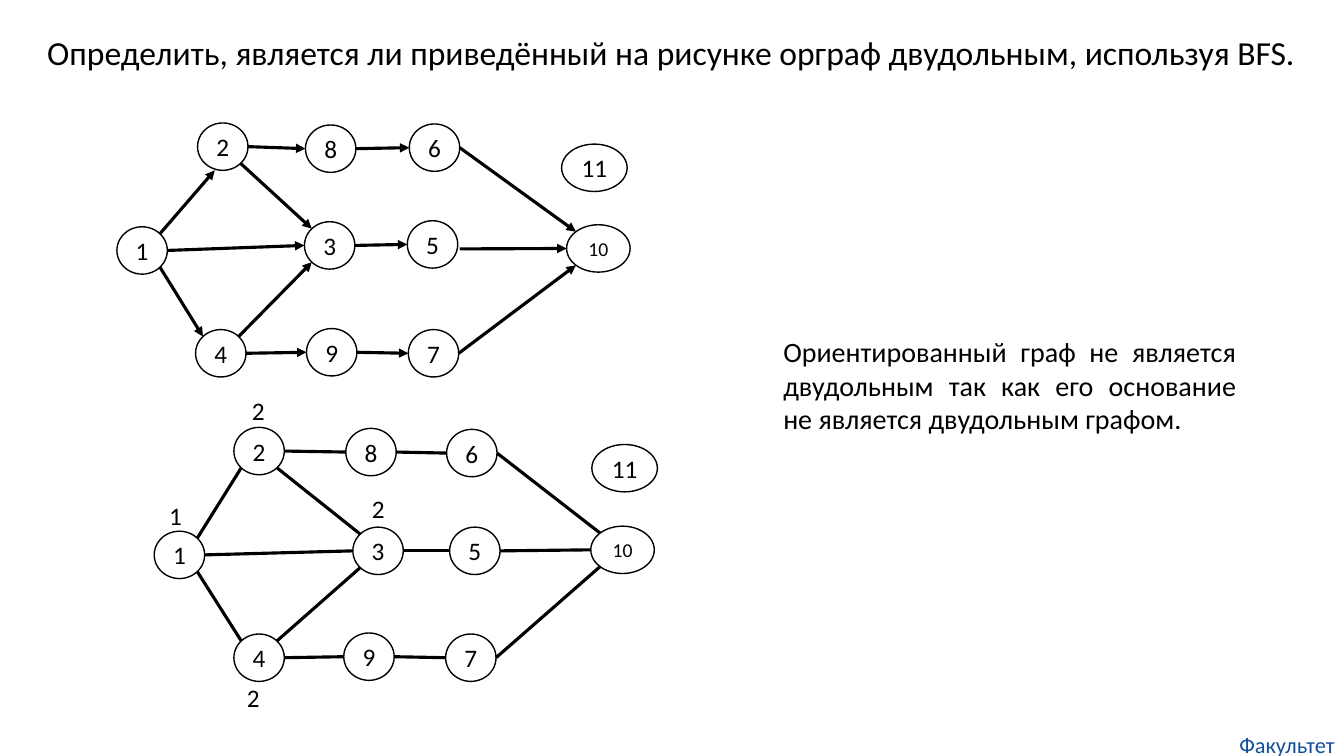
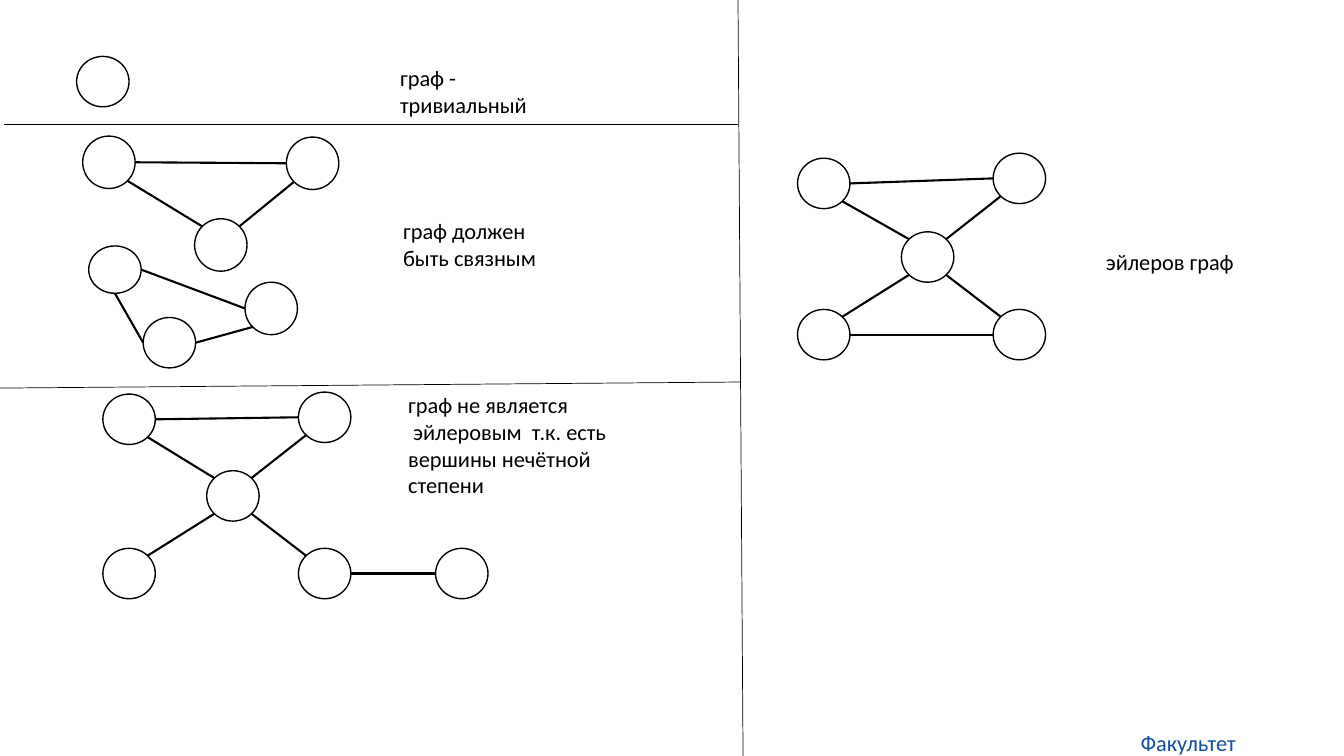
from math import sqrt

from pptx import Presentation
from pptx.dml.color import RGBColor
from pptx.enum.shapes import MSO_CONNECTOR, MSO_SHAPE
from pptx.enum.text import MSO_ANCHOR, MSO_AUTO_SIZE, PP_ALIGN
from pptx.oxml.ns import qn
from pptx.util import Pt
from lxml.etree import SubElement

PX = 9144
FONT = "Calibri"
FOOTER_TEXT = "Факультет"
BLACK = RGBColor(0x00, 0x00, 0x00)
WHITE = RGBColor(0xFF, 0xFF, 0xFF)
FOOTER_BLUE = RGBColor(0x14, 0x4E, 0x9D)

DIAGONAL = 1 / sqrt(2)
SITES = {
    "top-left": (-DIAGONAL, -DIAGONAL),
    "top-right": (DIAGONAL, -DIAGONAL),
    "bottom-left": (-DIAGONAL, DIAGONAL),
    "bottom-right": (DIAGONAL, DIAGONAL),
    "left": (-1, 0),
    "right": (1, 0),
    "bottom": (0, 1),
    "below": (-0.32, 1),
    "beyond": (1.08, 0.19),
}


def add_text(frame, paragraphs, size, color=BLACK, align=PP_ALIGN.LEFT, wrap=True):
    frame.word_wrap = wrap
    for index, text in enumerate(paragraphs):
        paragraph = frame.paragraphs[0] if index == 0 else frame.add_paragraph()
        paragraph.alignment = align
        run = paragraph.add_run()
        run.text = text
        run.font.name = FONT
        run.font.size = Pt(size)
        run.font.color.rgb = color


def add_line(slide, start, end, weight, arrow=False):
    ends = [round(value * PX) for value in (*start, *end)]
    connector = slide.shapes.add_connector(MSO_CONNECTOR.STRAIGHT, *ends)
    connector.line.color.rgb = BLACK
    connector.line.width = Pt(weight)
    properties = connector.element.spPr
    if arrow:
        SubElement(properties.find(qn("a:ln")), qn("a:tailEnd"), type="triangle")
    SubElement(properties, qn("a:effectLst"))


presentation = Presentation()
presentation.slide_width = 1333 * PX
presentation.slide_height = 750 * PX
blank = presentation.slide_layouts[6]
bipartite_slide = presentation.slides.add_slide(blank)
euler_slide = presentation.slides.add_slide(blank)

directed_nodes = {
    "1": (116, 225), "2": (196, 122), "3": (302, 220), "4": (194, 327),
    "5": (404, 219), "6": (406, 123), "7": (405, 327), "8": (303, 124),
    "9": (304, 326), "10": (562, 223, 63, 47), "11": (557, 143, 65, 47),
}
base_nodes = {
    "1": (153, 527), "2": (232, 424), "3": (350, 523), "4": (232, 629),
    "5": (446, 523), "6": (443, 426), "7": (442, 629), "8": (343, 425),
    "9": (341, 628), "10": (586, 522, 63, 47), "11": (587, 441, 65, 47),
}
base_edges = {
    ("1", "2"): ("top-right", "bottom-left"),
    ("1", "4"): ("bottom-right", "top-left"),
    ("4", "3"): ("top-right", "bottom-left"),
    ("2", "3"): ("bottom-right", "top-left"),
    ("6", "10"): ("right", "top-left"),
    ("7", "10"): ("right", "bottom-left"),
}
for pair in ("1 3", "2 8", "8 6", "3 5", "5 10", "4 9", "9 7"):
    base_edges[tuple(pair.split())] = ("right", "left")
directed_edges = base_edges | {
    ("1", "2"): ("top-right", "below"),
    ("5", "10"): ("beyond", "left"),
}

hub_edges = {
    ("a", "b"): ("right", "left"),
    ("a", "c"): ("bottom-right", "top-left"),
    ("b", "c"): ("bottom-left", "top-right"),
    ("c", "d"): ("bottom-left", "top-right"),
    ("c", "e"): ("bottom-right", "top-left"),
}
euler_nodes = {
    "a": (791, 157), "b": (985, 152), "c": (894, 230), "d": (791, 307), "e": (985, 307),
}
odd_nodes = {
    "a": (102, 391), "b": (296, 389), "c": (205, 467),
    "d": (102, 544), "e": (296, 544), "f": (432, 544),
}
upper_triangle = {"a": (82, 135), "b": (284, 136), "c": (193, 217)}
upper_edges = {pair: hub_edges[pair] for pair in (("a", "b"), ("a", "c"), ("b", "c"))}
lower_triangle = {"a": (88, 244, 52, 47), "b": (243, 280, 52, 52), "c": (142, 315, 52, 50)}
lower_edges = {
    ("a", "b"): ("right", "left"),
    ("a", "c"): ("bottom", "left"),
    ("c", "b"): ("right", "bottom-left"),
}

graphs = [
    (bipartite_slide, directed_nodes, directed_edges, (50, 47), 2.25, True),
    (bipartite_slide, base_nodes, base_edges, (50, 47), 2.25, False),
    (euler_slide, euler_nodes, hub_edges | {("d", "e"): ("right", "left")}, (52, 50), 1.5, False),
    (euler_slide, odd_nodes, hub_edges | {("e", "f"): ("right", "left")}, (52, 50), 1.5, False),
    (euler_slide, {"trivial": (76, 56)}, {}, (52, 50), 1.5, False),
    (euler_slide, upper_triangle, upper_edges, (52, 52), 1.5, False),
    (euler_slide, lower_triangle, lower_edges, (52, 50), 1.5, False),
]
for slide, nodes, edges, node_size, weight, arrow in graphs:
    boxes = {name: (place + node_size)[:4] for name, place in nodes.items()}
    for name, box in boxes.items():
        node = slide.shapes.add_shape(MSO_SHAPE.OVAL, *[value * PX for value in box])
        node.shadow.inherit = False
        node.fill.background()
        node.line.color.rgb = BLACK
        node.line.width = Pt(1)
        if name.isdigit():
            node.text_frame.vertical_anchor = MSO_ANCHOR.MIDDLE
            label_size = 14 if name == "10" else 18
            add_text(node.text_frame, [name], label_size, align=PP_ALIGN.CENTER, wrap=False)
    for pair, sites in edges.items():
        ends = []
        for name, site in zip(pair, sites):
            left, top, width, height = boxes[name]
            across, down = SITES[site]
            ends.append((left + width / 2 * (1 + across), top + height / 2 * (1 + down)))
        add_line(slide, *ends, weight, arrow)

for start, end in (((4, 123), (732, 123)), ((0, 385), (735, 379)), ((732, 0), (737, 750))):
    add_line(euler_slide, start, end, 0.5)

title = ["Определить, является ли приведённый на рисунке орграф двудольным, используя BFS."]
conclusion = [
    "Ориентированный граф не является двудольным так как его основание "
    "не является двудольным графом."
]
odd_degree = ["граф не является", " эйлеровым  т.к. есть вершины нечётной степени"]
texts = [
    (bipartite_slide, (37, 27, 1269, 50), title, 24, PP_ALIGN.LEFT, True),
    (bipartite_slide, (767, 327, 469, 111), conclusion, 20, PP_ALIGN.JUSTIFY, True),
    (bipartite_slide, (158, 491, 33, 40), ["1"], 18, PP_ALIGN.LEFT, False),
    (bipartite_slide, (240, 387, 33, 40), ["2"], 18, PP_ALIGN.LEFT, False),
    (bipartite_slide, (235, 672, 33, 40), ["2"], 18, PP_ALIGN.LEFT, False),
    (bipartite_slide, (359, 484, 33, 40), ["2"], 18, PP_ALIGN.LEFT, False),
    (euler_slide, (387, 59, 190, 64), ["граф - тривиальный"], 16, PP_ALIGN.LEFT, True),
    (euler_slide, (390, 211, 190, 64), ["граф должен быть связным"], 16, PP_ALIGN.LEFT, True),
    (euler_slide, (395, 383, 247, 118), odd_degree, 16, PP_ALIGN.LEFT, True),
    (euler_slide, (1087, 241, 149, 37), ["эйлеров граф"], 16, PP_ALIGN.LEFT, False),
]
for slide, box, paragraphs, size, align, wrap in texts:
    textbox = slide.shapes.add_textbox(*[value * PX for value in box])
    textbox.text_frame.auto_size = MSO_AUTO_SIZE.SHAPE_TO_FIT_TEXT
    add_text(textbox.text_frame, paragraphs, size, align=align, wrap=wrap)

for slide, left, top in ((bipartite_slide, 1220, 725), (euler_slide, 1122, 723)):
    footer = slide.shapes.add_textbox(left * PX, top * PX, 113 * PX, 27 * PX)
    frame = footer.text_frame
    frame.margin_left = frame.margin_right = frame.margin_top = frame.margin_bottom = 0
    add_text(frame, [FOOTER_TEXT], 16, FOOTER_BLUE, PP_ALIGN.CENTER)

for slide in presentation.slides:
    slide.background.fill.solid()
    slide.background.fill.fore_color.rgb = WHITE

presentation.save("out.pptx")
